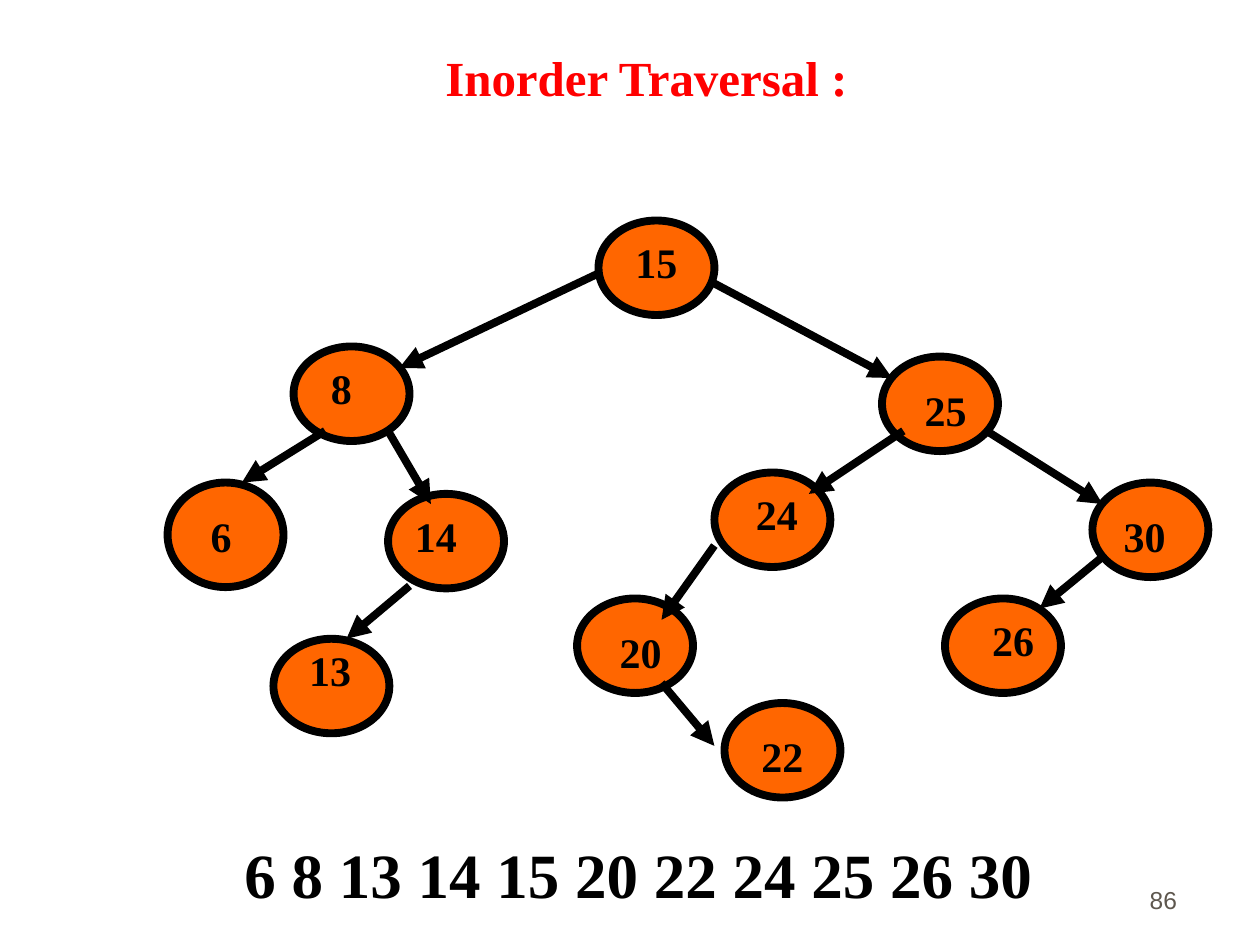
import pptx
import pptx.dml.color
import pptx.enum.shapes
import pptx.enum.text
import pptx.oxml
import pptx.util
from pptx.util import Inches

TITLE = "Inorder Traversal :"
SEQUENCE = "6 8 13 14 15 20 22 24 25 26 30"
PAGE = "86"
SERIF = "Times New Roman"
NODE_WIDTH, NODE_HEIGHT, LABEL_HEIGHT = 0.92, 0.75, 0.5

# value: (node left, node top), (label left, label top, label width)
NODES = {
    "15": ((4.75, 1.75), (4.92, 1.83, 0.58)),
    "8": ((2.33, 2.75), (2.5, 2.83, 0.42)),
    "25": ((7, 2.83), (7.17, 3, 0.67)),
    "6": ((1.33, 3.83), (1.42, 4, 0.67)),
    "14": ((3.08, 3.92), (3.17, 4, 0.58)),
    "24": ((5.67, 3.75), (5.83, 3.83, 0.67)),
    "30": ((8.67, 3.83), (8.75, 4, 0.67)),
    "20": ((4.58, 4.75), (4.75, 4.92, 0.67)),
    "26": ((7.5, 4.75), (7.75, 4.83, 0.58)),
    "13": ((2.17, 5.07), (2.33, 5.07, 0.58)),
    "22": ((5.75, 5.58), (5.92, 5.75, 0.58)),
}
TALLER_NODES = {"6": 0.83}
EDGES = [
    ((4.75, 2.17), (3.17, 2.92)),
    ((5.67, 2.25), (7.08, 3)),
    ((2.58, 3.42), (1.92, 3.83)),
    ((3.08, 3.42), (3.42, 4)),
    ((7.17, 3.42), (6.42, 3.92)),
    ((7.83, 3.42), (8.75, 4)),
    ((3.25, 4.65), (2.75, 5.07)),
    ((5.67, 4.33), (5.25, 4.92)),
    ((8.75, 4.42), (8.25, 4.83)),
    ((5.25, 5.42), (5.67, 5.92)),
]


def color(hex_value):
    return pptx.dml.color.RGBColor.from_string(hex_value)


def write(holder, text, *, size=24, ink="000000", font=SERIF, bold=True, align="CENTER", anchor="TOP"):
    frame = holder.text_frame
    frame.word_wrap = True
    frame.auto_size = pptx.enum.text.MSO_AUTO_SIZE.NONE
    frame.vertical_anchor = getattr(pptx.enum.text.MSO_ANCHOR, anchor)
    paragraph = frame.paragraphs[0]
    paragraph.text = text
    paragraph.alignment = getattr(pptx.enum.text.PP_ALIGN, align)
    paragraph.line_spacing = 1
    paragraph.space_before = pptx.util.Pt(0)
    style = paragraph.runs[0].font
    style.name, style.size, style.bold = font, pptx.util.Pt(size), bold
    style.color.rgb = color(ink)


def outline(line):
    line.color.rgb = color("000000")
    line.width = pptx.util.Pt(4.5)


def add_label(slide, box, text, **style):
    write(slide.shapes.add_textbox(*map(Inches, box)), text, **style)


def add_node(slide, value, corner):
    height = TALLER_NODES.get(value, NODE_HEIGHT)
    node = slide.shapes.add_shape(
        pptx.enum.shapes.MSO_SHAPE.OVAL, *map(Inches, (*corner, NODE_WIDTH, height)))
    node.shadow.inherit = False
    node.fill.solid()
    node.fill.fore_color.rgb = color("FF6600")
    outline(node.line)


def add_edge(slide, start, end):
    edge = slide.shapes.add_connector(
        pptx.enum.shapes.MSO_CONNECTOR.STRAIGHT, *map(Inches, (*start, *end)))
    outline(edge.line)
    head = pptx.oxml.parse_xml(
        '<a:tailEnd xmlns:a="http://schemas.openxmlformats.org/drawingml/2006/main" type="triangle"/>')
    edge.line._get_or_add_ln().append(head)
    properties = edge._element.spPr
    properties.append(pptx.oxml.parse_xml(
        '<a:effectLst xmlns:a="http://schemas.openxmlformats.org/drawingml/2006/main"/>'))


def main():
    """Build the inorder traversal slide with its binary search tree."""
    deck = pptx.Presentation()
    deck.slide_width, deck.slide_height = Inches(10), Inches(7.5)
    slide = deck.slides.add_slide(deck.slide_layouts[5])
    title = slide.shapes.title
    title.left, title.top, title.width, title.height = map(Inches, (2.17, 0.33, 5.92, 0.57))
    write(title, TITLE, size=28, ink="FF0000")
    for value, (corner, _) in NODES.items():
        add_node(slide, value, corner)
    for start, end in EDGES:
        add_edge(slide, start, end)
    for value, (_, label) in NODES.items():
        add_label(slide, (*label, LABEL_HEIGHT), value)
    add_label(slide, (0.69, 6.58, 8.75, 0.7), SEQUENCE, size=36)
    add_label(slide, (7.36, 6.81, 2.08, 0.5), PAGE, size=14, ink="5E574E",
              font="Arial", bold=False, align="RIGHT", anchor="BOTTOM")
    deck.save("out.pptx")


if __name__ == "__main__":
    main()
